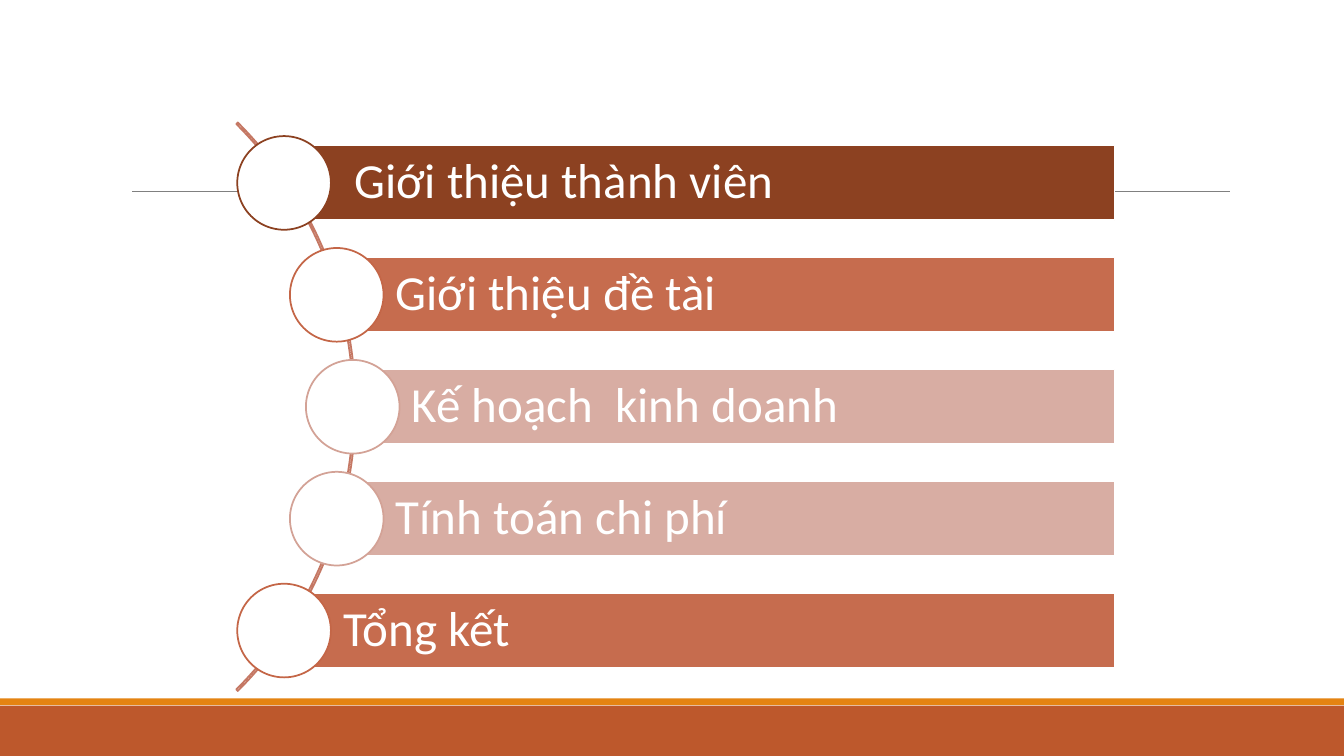
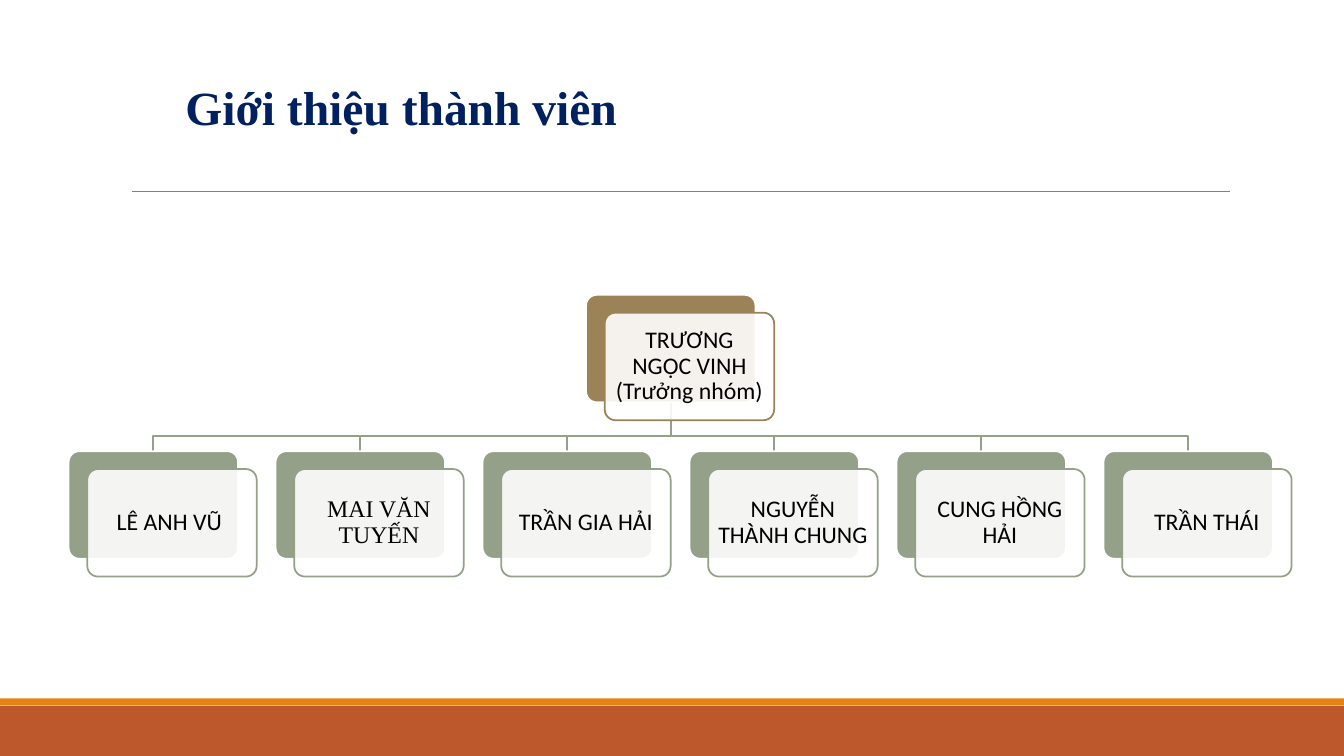
from math import sqrt

from lxml.etree import SubElement
from pptx import Presentation
from pptx.dml.color import RGBColor
from pptx.enum.shapes import MSO_CONNECTOR as CONN, MSO_SHAPE as SHAPE
from pptx.enum.text import MSO_ANCHOR as ANCHOR, MSO_AUTO_SIZE as AUTO, PP_ALIGN as ALIGN
from pptx.oxml.ns import qn
from pptx.util import Cm, Pt

# Colours and fonts
WHITE = RGBColor(0xFF, 0xFF, 0xFF)
BLACK = RGBColor(0x00, 0x00, 0x00)
NAVY = RGBColor(0x00, 0x20, 0x60)
GREY = RGBColor(0x80, 0x80, 0x80)
RUST = RGBColor(0xBD, 0x58, 0x2C)
ORANGE = RGBColor(0xE4, 0x83, 0x12)
BROWN = RGBColor(0x8C, 0x41, 0x21)
TERRA = RGBColor(0xC6, 0x6C, 0x4E)
TERRA_EDGE = RGBColor(0xC4, 0x66, 0x47)
PINK = RGBColor(0xD8, 0xAD, 0xA3)
PINK_EDGE = RGBColor(0xD3, 0xA2, 0x96)
ARC = RGBColor(0xC5, 0x78, 0x64)
TAN = RGBColor(0x9B, 0x83, 0x57)
SAGE = RGBColor(0x94, 0xA0, 0x88)
SANS, SERIF = "Calibri", "Times New Roman"

SLIDE_W, SLIDE_H = 33.87, 19.05
LINE_W = 1.25
TITLE_ONLY, BLANK = 5, 6

# Agenda: text, bar colour, circle outline
AGENDA = [
    (" Giới thiệu thành viên", BROWN, BROWN),
    ("Giới thiệu đề tài", TERRA, TERRA_EDGE),
    ("Kế hoạch  kinh doanh", PINK, PINK_EDGE),
    ("Tính toán chi phí", PINK, PINK_EDGE),
    ("Tổng kết", TERRA, TERRA_EDGE),
]

# Team: name, font
LEADER = "TRƯƠNG NGỌC VINH (Trưởng nhóm)"
MEMBERS = [
    ("LÊ ANH VŨ ", SANS),
    ("MAI VĂN TUYẾN", SERIF),
    ("TRẦN GIA HẢI", SANS),
    ("NGUYỄN THÀNH CHUNG", SANS),
    ("CUNG HỒNG HẢI", SANS),
    ("TRẦN THÁI", SANS),
]
CARD_W, CARD_H = 4.27, 2.71
SHIFT_X, SHIFT_Y = 0.47, 0.45


def paint(sp, fill=None, line=None):
    sp.shadow.inherit = False
    if fill is None:
        sp.fill.background()
    else:
        sp.fill.solid()
        sp.fill.fore_color.rgb = fill
    if line is None:
        sp.line.fill.background()
    else:
        sp.line.color.rgb = line
        sp.line.width = Pt(LINE_W)


def add_box(slide, kind, x, y, w, h, fill=None, line=None):
    sp = slide.shapes.add_shape(kind, Cm(x), Cm(y), Cm(w), Cm(h))
    paint(sp, fill, line)
    return sp


def write(sp, text, size, color, font=SANS, align=ALIGN.LEFT, bold=False, spacing=0.9):
    tf = sp.text_frame
    tf.vertical_anchor = ANCHOR.MIDDLE
    p = tf.paragraphs[0]
    p.alignment = align
    p.line_spacing = spacing
    r = p.add_run()
    r.text = text
    r.font.size = Pt(size)
    r.font.name = font
    r.font.bold = bold
    r.font.color.rgb = color
    return tf


def set_margins(tf, left, other):
    tf.word_wrap = True
    tf.margin_left = Cm(left)
    tf.margin_right = tf.margin_top = tf.margin_bottom = Cm(other)


def new_slide(prs, title=None):
    """Slide with the footer bands, the rule and an optional title."""
    slide = prs.slides.add_slide(prs.slide_layouts[TITLE_ONLY if title else BLANK])
    add_box(slide, SHAPE.RECTANGLE, 0, 17.78, SLIDE_W, 1.27, RUST)
    add_box(slide, SHAPE.RECTANGLE, 0, 17.6, SLIDE_W, 0.17, ORANGE)
    rule = slide.shapes.add_connector(CONN.STRAIGHT, Cm(3.33), Cm(4.83), Cm(31), Cm(4.83))
    rule.line.color.rgb = GREY
    rule.line.width = Pt(0.5)
    SubElement(rule._element.spPr, qn("a:effectLst"))
    if title:
        sp = slide.shapes.title
        sp.left, sp.top, sp.width, sp.height = Cm(4.42), Cm(1.83), Cm(11.53), Cm(1.7)
        tf = write(sp, title, 34, NAVY, SERIF, bold=True, spacing=1)
        tf.word_wrap = False
        tf.auto_size = AUTO.NONE
    return slide


def add_agenda(slide, x, y, w, h):
    """Bars whose circles follow an arc down the left side of the box."""
    bar_h, circle, pitch = 1.88, 2.36, 2.82
    radius, arc_radius = 10.06, 10.13
    cx, cy = x - 7.11, y + h / 2

    # Quarter arc, from 315 to 45 degrees
    arc = add_box(slide, SHAPE.BLOCK_ARC, cx - arc_radius, cy - arc_radius,
                  2 * arc_radius, 2 * arc_radius, line=ARC)
    for i, value in enumerate((189, 27, 0.0027)):
        arc.adjustments[i] = value

    # Rows
    for i, (text, fill, edge) in enumerate(AGENDA):
        dy = (i - (len(AGENDA) - 1) / 2) * pitch
        mid_x, mid_y = cx + sqrt(radius ** 2 - dy ** 2), cy + dy
        bar = add_box(slide, SHAPE.RECTANGLE, mid_x, mid_y - bar_h / 2,
                      x + w - mid_x, bar_h, fill, WHITE)
        set_margins(write(bar, text, 35, WHITE), 1.49, 0.25)
        add_box(slide, SHAPE.OVAL, mid_x - circle / 2, mid_y - circle / 2,
                circle, circle, WHITE, edge)


def add_branch(slide, x1, y1, x2, y2, bus_y):
    """Open elbow from the leader down to one member."""
    corners = [(x1, y1), (x1, bus_y), (x2, bus_y), (x2, y2)]
    points = [(Cm(px), Cm(py)) for px, py in corners]
    fb = slide.shapes.build_freeform(*points[0], scale=1.0)
    fb.add_line_segments(points[1:], close=False)
    paint(fb.convert_to_shape(), line=SAGE)


def add_card(slide, x, y, fill, line):
    sp = add_box(slide, SHAPE.ROUNDED_RECTANGLE, x, y, CARD_W, CARD_H, fill, line)
    sp.adjustments[0] = 0.1
    return sp


def add_person(slide, x, y, text, font, color):
    """Coloured back card under a shifted, translucent name card."""
    add_card(slide, x, y, color, WHITE)
    sp = add_card(slide, x + SHIFT_X, y + SHIFT_Y, WHITE, color)
    clr = sp._element.spPr.find(qn("a:solidFill")).find(qn("a:srgbClr"))
    SubElement(clr, qn("a:alpha")).set("val", "90000")
    set_margins(write(sp, text, 17, BLACK, font, ALIGN.CENTER), 0.16, 0.16)


def add_team(slide, x, y, w, h):
    """Leader on top, members in an even row at the foot of the box."""
    row_y = y + h - CARD_H - SHIFT_Y
    bus_y = row_y - 0.39
    span = w - CARD_W - SHIFT_X
    lefts = [x + span * i / (len(MEMBERS) - 1) for i in range(len(MEMBERS))]
    lead_x = x + span / 2
    half = CARD_W / 2

    # Branches, behind the cards
    for left in reversed(lefts):
        add_branch(slide, lead_x + half, y + CARD_H, left + half, row_y, bus_y)

    # People
    add_person(slide, lead_x, y, LEADER, SANS, TAN)
    for left, (name, font) in zip(lefts, MEMBERS):
        add_person(slide, left, row_y, name, font, SAGE)


def main():
    prs = Presentation()
    prs.slide_width, prs.slide_height = Cm(SLIDE_W), Cm(SLIDE_H)
    add_agenda(new_slide(prs), 5.94, 3.09, 22.15, 14.32)
    add_team(new_slide(prs, "Giới thiệu thành viên"), 1.73, 7.43, 30.82, 7.1)
    prs.save("out.pptx")


if __name__ == "__main__":
    main()
